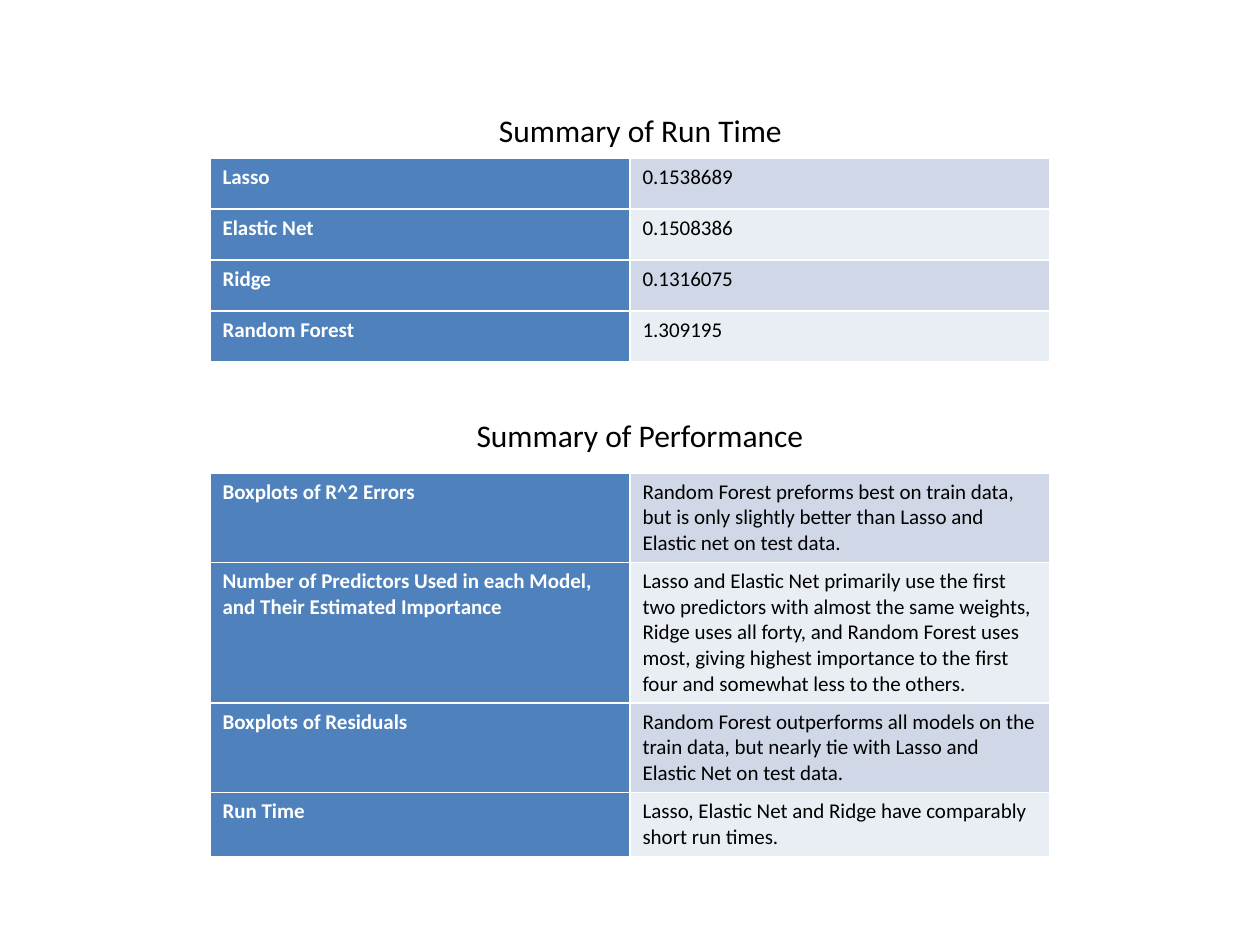
from lxml import etree
from pptx import Presentation
from pptx.dml.color import RGBColor
from pptx.enum.text import MSO_AUTO_SIZE, PP_ALIGN
from pptx.oxml.ns import qn
from pptx.util import Emu, Pt

CENTER = PP_ALIGN.CENTER
LEFT = PP_ALIGN.LEFT
NO_AUTOFIT = MSO_AUTO_SIZE.NONE

PX_PER_INCH = 126
FONT = "Calibri"
COLORS = {
    "text": "000000",
    "label_text": "FFFFFF",
    "label": "4F81BD",
    "band_dark": "D0D8E8",
    "band_light": "E9EDF4",
    "border": "FFFFFF",
}

TABLE_LEFT = 210
COLUMN_WIDTH = 420

RUN_TIMES = [
    ("Lasso", "0.1538689"),
    ("Elastic Net", "0.1508386"),
    ("Ridge", "0.1316075"),
    ("Random Forest", "1.309195"),
]
PERFORMANCE = [
    ("Boxplots of R^2 Errors",
     "Random Forest preforms best on train data, but is only slightly better "
     "than Lasso and Elastic net on test data."),
    ("Number of Predictors Used in each Model, and Their Estimated Importance",
     "Lasso and Elastic Net primarily use the first two predictors with almost "
     "the same weights, Ridge uses all forty, and Random Forest uses most, "
     "giving highest importance to the first four and somewhat less to the "
     "others."),
    ("Boxplots of Residuals",
     "Random Forest outperforms all models on the train data, but nearly tie "
     "with Lasso and Elastic Net on test data."),
    ("Run Time",
     "Lasso, Elastic Net and Ridge have comparably short run times."),
]


def px(length):
    return Emu(round(length * 914400 / PX_PER_INCH))


def rgb(name):
    return RGBColor.from_string(COLORS[name])


class SlideBuilder:
    def __init__(self, page):
        self.page = page

    def add_text(self, frame, text, size, color="text", bold=False, align=LEFT):
        para = frame.paragraphs[0]
        para.alignment = align
        span = para.add_run()
        span.text = text
        span.font.name = FONT
        span.font.size = Pt(size)
        span.font.bold = bold
        span.font.color.rgb = rgb(color)

    def heading(self, text, left, top, width, height):
        box = self.page.shapes.add_textbox(px(left), px(top), px(width), px(height))
        frame = box.text_frame
        frame.word_wrap = True
        frame.auto_size = NO_AUTOFIT
        self.add_text(frame, text, 18, align=CENTER)

    def border(self, cell):
        """Draw a thin line on all four sides; must come before the cell fill."""
        properties = cell._tc.get_or_add_tcPr()
        for side in ("lnL", "lnR", "lnT", "lnB"):
            line = etree.SubElement(properties, qn(f"a:{side}"), w=str(Pt(1)))
            fill = etree.SubElement(line, qn("a:solidFill"))
            etree.SubElement(fill, qn("a:srgbClr"), val=COLORS["border"])

    def cell(self, cell, text, fill, color="text", bold=False):
        self.border(cell)
        cell.fill.solid()
        cell.fill.fore_color.rgb = rgb(fill)
        self.add_text(cell.text_frame, text, 12, color, bold)

    def table(self, entries, top, row_heights):
        """Add a two-column table: bold labels, then values on banded rows."""
        table = self.page.shapes.add_table(
            len(entries), 2, px(TABLE_LEFT), px(top),
            px(2 * COLUMN_WIDTH), px(sum(row_heights))).table
        table.first_row = False
        table.first_col = True
        for column in table.columns:
            column.width = px(COLUMN_WIDTH)
        for index, (label, value) in enumerate(entries):
            table.rows[index].height = px(row_heights[index])
            band = "band_light" if index % 2 else "band_dark"
            self.cell(table.cell(index, 0), label, "label", "label_text", True)
            self.cell(table.cell(index, 1), value, band)


def main():
    deck = Presentation()
    deck.slide_width = px(1260)
    deck.slide_height = px(945)
    builder = SlideBuilder(deck.slides.add_slide(deck.slide_layouts[6]))

    builder.heading("Summary of Run Time", 126, 105, 1029, 204)
    builder.table(RUN_TIMES, 158, [51] * 4)
    builder.heading("Summary of Performance", 220, 410, 840, 127)
    builder.table(PERFORMANCE, 473, [88, 139, 88, 63])

    deck.save("out.pptx")


if __name__ == "__main__":
    main()
